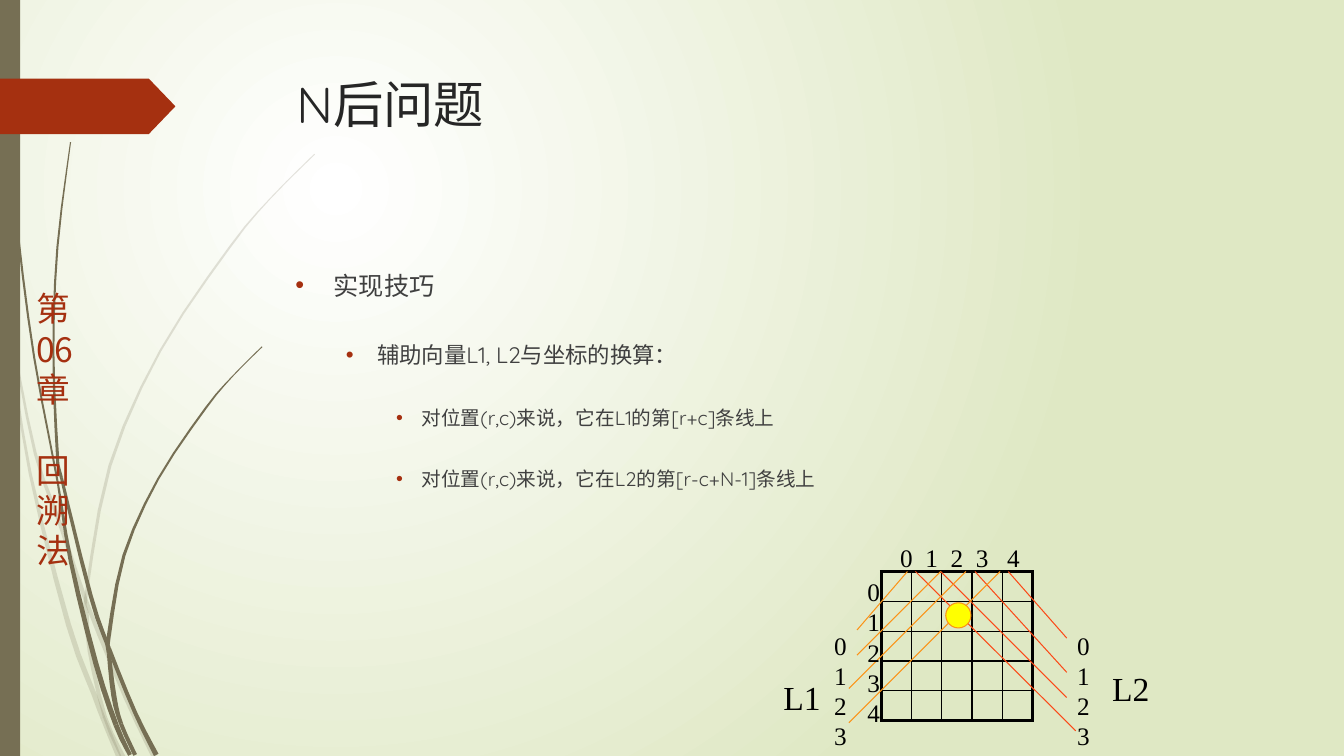
"""Builds the N-queens slide on diagonal vectors L1 and L2."""
from lxml import etree
from pptx import Presentation
from pptx import util as u
from pptx.dml.color import RGBColor
from pptx.enum import shapes, text
from pptx.oxml.ns import qn

COLORS = {"olive": "766F54", "rust": "A53010", "title": "262626", "body": "404040",
          "black": "000000", "white": "FFFFFF", "lime": "DFE8C4", "red": "FB4A18",
          "orange": "FB9318", "queen": "FFFF00"}
TITLE = "N后问题"
CHAPTER = ["第", "06", "章", "回", "溯", "法"]
POINTS = [(0, "实现技巧"),
          (1, "辅助向量L1, L2与坐标的换算："),
          (2, "对位置(r,c)来说，它在L1的第[r+c]条线上"),
          (2, "对位置(r,c)来说，它在L2的第[r-c+N-1]条线上")]
LEVELS = [(18, 0.38, 0.38), (16, 0.81, 0.31), (14, 1.25, 0.25)]
BOARD = {"left": 8.74, "top": 5.67, "width": 1.5, "height": 1.48, "count": 5}
DIAGONALS = {
    "red": [(10, 10.58, 6.33), (9.67, 10.58, 6.67), (9.33, 10.58, 6.92), (9.08, 10.67, 7.25)],
    "orange": [(9, 8.5, 6.25), (9.33, 8.5, 6.5), (9.58, 8.42, 6.83), (9.92, 8.42, 7.17)]}
VECTOR_NAMES = [("L2", 10.93, 6.58), ("L1", 7.67, 6.67)]
COLUMN_TABS = [0.25, 0.5, 0.75, 1.06]
NUMBER_COLUMNS = [(8.17, 6.2, 4), (8.5, 5.67, 5), (10.58, 6.2, 4)]
STEMS = [
    (20, (1, 5), [(0, 2.9, .03), (.11, 3.5, .02), (.3, 4.7, .03), (.68, 6.2, .05),
                  (.93, 6.88, .05), (1.02, 7.12, .05), (1.18, 7.51, .05)]),
    (20, (3,), [(.14, 3.45, .02), (.35, 4.5, .03), (.6, 5.21, .04), (.86, 5.98, .04),
                (1.25, 6.93, .04), (1.53, 7.51, .05)]),
    (20, (5, 6, 8), [(3.12, 1.53, .01), (2.68, 1.97, .01), (2.28, 2.45, .02),
                     (1.59, 3.48, .02), (1.09, 4.62, .03), (.86, 5.86, .03),
                     (.86, 6.08, .04), (.89, 6.46, .04), (1.04, 7.11, .04),
                     (1.22, 7.51, .05)]),
    (100, (4, 7), [(.04, 0, .01), (.07, 1.1, .01), (.18, 2.33, .02), (.34, 3.55, .02),
                   (.57, 4.77, .02), (.7, 5.56, .04), (.95, 6.58, .05), (1.15, 7.19, .05),
                   (1.29, 7.49, .04)]),
    (100, (4, 6), [(.7, 1.41, .01), (.57, 2.45, .02), (.53, 3.49, .02), (.57, 4.51, .03),
                   (.61, 4.74, .03), (.9, 5.91, .04), (1.08, 6.43, .04), (1.34, 7.07, .04),
                   (1.55, 7.49, .05)]),
    (100, (5, 6, 8), [(2.6, 3.44, .01), (2.31, 3.73, .01), (2.04, 4.05, .02),
                      (1.57, 4.75, .02), (1.23, 5.51, .03), (1.08, 6.31, .04),
                      (1.08, 6.48, .04), (1.13, 6.91, .05), (1.2, 7.18, .04),
                      (1.34, 7.49, .04)])]
STEPS = 3


def rgb(name):
    return RGBColor.from_string(COLORS[name])


def add_xml(parent, tag, **attributes):
    return etree.SubElement(parent, qn(tag), attributes)


def add_color(parent, name):
    return add_xml(add_xml(parent, "a:solidFill"), "a:srgbClr", val=COLORS[name])


def place(part, left, top, width, height):
    part.left, part.top = u.Inches(left), u.Inches(top)
    part.width, part.height = u.Inches(width), u.Inches(height)


def paint(shape, fill, line=None):
    shape.shadow.inherit = False
    shape.fill.solid()
    shape.fill.fore_color.rgb = rgb(fill)
    if line:
        shape.line.color.rgb, shape.line.width = rgb(line), u.Pt(0.75)
    else:
        shape.line.fill.background()


def style(paragraph, size, font, color):
    for run in paragraph.runs:
        run.font.size, run.font.name = u.Pt(size), font
        run.font.color.rgb = rgb(color)


def spline(knots):
    padded = [knots[0], *knots, knots[-1]]
    curve = []
    for a, b, c, d in zip(padded, padded[1:], padded[2:], padded[3:]):
        for t in (step / STEPS for step in range(STEPS)):
            curve.append([q + t / 2 * (r - p + t * (2 * p - 5 * q + 4 * r - s
                          + t * (3 * q - p - 3 * r + s))) for p, q, r, s in zip(a, b, c, d)])
    return curve + [list(knots[-1])]


def add_stem(slide, opacity, cuts, knots):
    curve = spline(knots)
    left, right = [], []
    for i, (x, y, width) in enumerate(curve):
        before, after = curve[max(i - 1, 0)], curve[min(i + 1, len(curve) - 1)]
        dx, dy = after[0] - before[0], after[1] - before[1]
        half = width / 2 / (dx * dx + dy * dy) ** 0.5
        left.append((u.Inches(x - dy * half), u.Inches(y + dx * half)))
        right.append((u.Inches(x + dy * half), u.Inches(y - dx * half)))
    joints = [0, *cuts, len(knots) - 1]
    for first, last in zip(joints, joints[1:]):
        span = slice(first * STEPS, last * STEPS + 1)
        outline = left[span] + right[span][::-1]
        builder = slide.shapes.build_freeform(*outline[0])
        builder.add_line_segments(outline[1:], close=True)
        blade = builder.convert_to_shape()
        paint(blade, "olive")
        if opacity < 100:
            color = blade._element.spPr.find(qn("a:solidFill"))[0]
            add_xml(color, "a:alpha", val=str(opacity * 1000))


def add_label(slide, lines, at, size, font="Times New Roman", color="black",
              align=text.PP_ALIGN.CENTER, wrap=False):
    box = slide.shapes.add_textbox(*map(u.Inches, at))
    box.text_frame.word_wrap = wrap
    box.text_frame.text = "\n".join(lines)
    for paragraph in box.text_frame.paragraphs:
        paragraph.alignment = align
        style(paragraph, size, font, color)
    return box.text_frame.paragraphs


def add_background(slide):
    fill = slide.background.fill
    fill.gradient()
    for stop, name in zip(fill.gradient_stops, ("white", "lime")):
        stop.color.rgb = rgb(name)
    gradient = slide._element.find(".//" + qn("a:gradFill"))
    gradient.remove(gradient.find(qn("a:lin")))
    circle = add_xml(gradient, "a:path", path="circle")
    add_xml(circle, "a:fillToRect", l="50000", t="50000", r="100000", b="100000")


def add_decoration(slide):
    for opacity, cuts, knots in STEMS:
        add_stem(slide, opacity, cuts, knots)
    for kind, at, color in ((shapes.MSO_SHAPE.RECTANGLE, (0, 0, 0.2, 7.5), "olive"),
                            (shapes.MSO_SHAPE.PENTAGON, (0, 0.78, 1.74, 0.55), "rust")):
        part = slide.shapes.add_shape(kind, *map(u.Inches, at))
        paint(part, color)
        if color == "rust":
            part.adjustments[0] = 0.48
    chapter = add_label(slide, CHAPTER, (0.26, 2.81, 0.59, 2.93), 24, "Noto Sans CJK JP",
                        "rust", text.PP_ALIGN.LEFT)
    chapter[3].space_before = u.Pt(29)


def fill_placeholders(slide):
    title, body = slide.placeholders
    place(title, 2.84, 0.68, 9.75, 1.4)
    place(body, 2.83, 2.33, 9.75, 4.13)
    title.text_frame.text = TITLE
    body.text_frame.text = "\n".join(line for _, line in POINTS)
    for part in (title, body):
        part.text_frame.vertical_anchor = text.MSO_ANCHOR.TOP
        part.text_frame.auto_size = text.MSO_AUTO_SIZE.NONE
    heading = title.text_frame.paragraphs[0]
    heading.alignment = text.PP_ALIGN.LEFT
    style(heading, 36, "Quicksand", "title")
    for i, (paragraph, (level, _)) in enumerate(zip(body.text_frame.paragraphs, POINTS)):
        size, margin, hanging = LEVELS[level]
        paragraph.level = level
        properties = paragraph._p.get_or_add_pPr()
        properties.set("marL", str(u.Inches(margin)))
        properties.set("indent", str(-u.Inches(hanging)))
        add_xml(add_xml(properties, "a:buClr"), "a:srgbClr", val=COLORS["rust"])
        add_xml(properties, "a:buFont", typeface="Arial")
        add_xml(properties, "a:buChar", char="•")
        paragraph.line_spacing = 2.0
        paragraph.space_before = u.Pt(10 if i else 0)
        style(paragraph, size, "Quicksand", "body")


def add_board(slide):
    count = BOARD["count"]
    frame = [u.Inches(BOARD[key]) for key in ("left", "top", "width", "height")]
    table = slide.shapes.add_table(count, count, *frame).table
    table.first_row = table.horz_banding = False
    for row in range(count):
        for column in range(count):
            cell = table.cell(row, column)
            cell.margin_left = cell.margin_right = cell.margin_top = cell.margin_bottom = 0
            outer = {"L": column == 0, "R": column == count - 1,
                     "T": row == 0, "B": row == count - 1}
            for edge, thick in outer.items():
                border = add_xml(cell._tc.get_or_add_tcPr(), "a:ln" + edge,
                                 w=str(u.Pt(2.25 if thick else 1)))
                add_color(border, "black")
            cell.fill.background()
            add_xml(cell.text_frame.paragraphs[0]._p, "a:endParaRPr", sz="800")


def add_diagonals(slide):
    for color, lines in DIAGONALS.items():
        for start, end, bottom in lines:
            line = slide.shapes.add_connector(
                shapes.MSO_CONNECTOR.STRAIGHT, *map(u.Inches, (start, BOARD["top"], end, bottom)))
            line.line.color.rgb, line.line.width = rgb(color), u.Pt(0.75)
            add_xml(line._element.spPr, "a:effectLst")


def add_numbers(slide):
    for name, left, top in VECTOR_NAMES:
        add_label(slide, [name], (left, top, 0.57, 0.5), 24)
    columns = "\t".join(map(str, range(BOARD["count"])))
    header = add_label(slide, [columns], (8.83, 5.33, 1.39, 0.4), 18,
                       align=text.PP_ALIGN.LEFT, wrap=True)[0]
    tabs = add_xml(header._p.get_or_add_pPr(), "a:tabLst")
    for stop in COLUMN_TABS:
        add_xml(tabs, "a:tab", pos=str(u.Inches(stop)), algn="l")
    for left, top, count in NUMBER_COLUMNS:
        add_label(slide, map(str, range(count)), (left, top, 0.33, 0.1 + 0.3 * count), 18)


def main():
    deck = Presentation()
    deck.slide_width, deck.slide_height = u.Inches(13.33), u.Inches(7.5)
    slide = deck.slides.add_slide(deck.slide_layouts[1])
    add_background(slide)
    add_decoration(slide)
    fill_placeholders(slide)
    add_board(slide)
    add_diagonals(slide)
    add_numbers(slide)
    queen = slide.shapes.add_shape(shapes.MSO_SHAPE.OVAL,
                                   *map(u.Inches, (9.38, 5.98, 0.25, 0.25)))
    paint(queen, "queen", "orange")
    deck.save("out.pptx")


if __name__ == "__main__":
    main()
